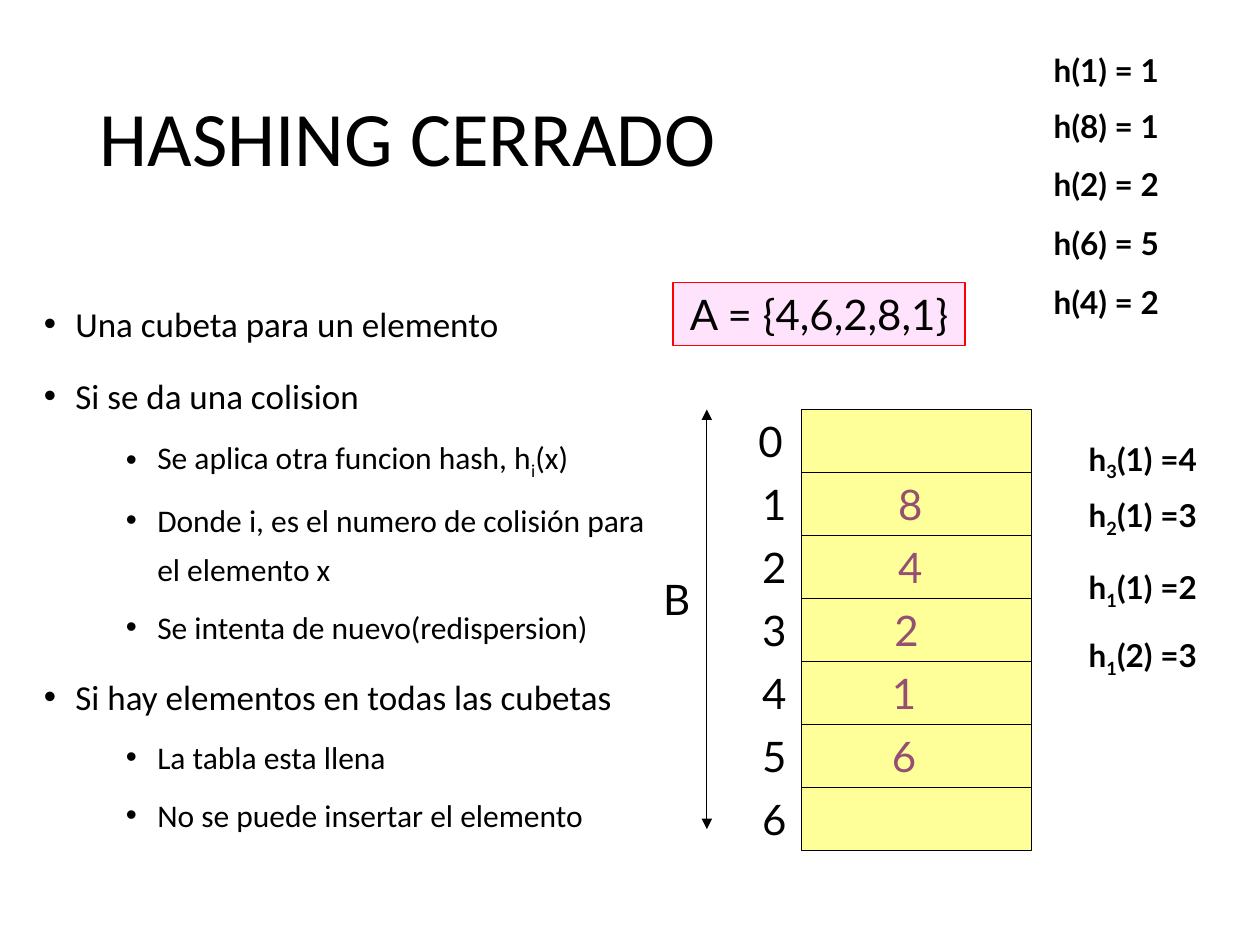
from lxml import etree
from pptx import Presentation
from pptx.dml.color import RGBColor
from pptx.enum.shapes import MSO_CONNECTOR, MSO_SHAPE
from pptx.enum.text import MSO_ANCHOR, MSO_AUTO_SIZE, PP_ALIGN
from pptx.oxml.ns import qn
from pptx.util import Inches, Pt

RECT = MSO_SHAPE.RECTANGLE
STRAIGHT = MSO_CONNECTOR.STRAIGHT
MIDDLE = MSO_ANCHOR.MIDDLE
NO_FIT = MSO_AUTO_SIZE.NONE
CENTER, LEFT = PP_ALIGN.CENTER, PP_ALIGN.LEFT

BLACK, WHITE, YELLOW = "000000", "FFFFFF", "FFFF99"
PINK, RED, PURPLE = "FFE3FD", "FF0000", "954F72"
ROW_H = 0.5

BULLETS = [
    (0, ["Una cubeta para un elemento"]),
    (0, ["Si se da una colision"]),
    (1, ["Se aplica otra funcion hash, h", "i", "(x)"]),
    (1, ["Donde i, es el numero de colisión para el elemento x"]),
    (1, ["Se intenta de nuevo(redispersion)"]),
    (0, ["Si hay elementos en todas las cubetas"]),
    (1, ["La tabla esta llena"]),
    (1, ["No se puede insertar el elemento"]),
]
STORED = {1: ("8", 0.67), 2: ("4", 0.67), 3: ("2", 0.64), 4: ("1", 0.62), 5: ("6", 0.62)}
HASHES = [("h(1) = 1", 0), ("h(8) = 1", 0.44), ("h(2) = 2", 0.9),
          ("h(6) = 5", 1.37), ("h(4) = 2", 1.84)]
REHASHES = [("3", "(1) =4", 0), ("2", "(1) =3", 0.45),
            ("1", "(1) =2", 1.02), ("1", "(2) =3", 1.56)]


def rgb(color):
    """Turn a hex string into a colour."""
    return RGBColor.from_string(color)


def add_runs(p, parts, size, font, color=BLACK, bold=False):
    """Add runs to a paragraph, lowering every second one as a subscript."""
    for i, text in enumerate(parts):
        r = p.add_run()
        r.text = text
        r.font.size, r.font.name, r.font.bold = Pt(size), font, bold
        r.font.color.rgb = rgb(color)
        if i % 2:
            r._r.get_or_add_rPr().set("baseline", "-25000")


def add_rect(slide, left, top, width, height, fill, line=None):
    """Draw a plain rectangle with an optional thin outline."""
    s = slide.shapes.add_shape(RECT, Inches(left), Inches(top), Inches(width), Inches(height))
    s.shadow.inherit = False
    s.fill.solid()
    s.fill.fore_color.rgb = rgb(fill)
    if line:
        s.line.color.rgb = rgb(line)
        s.line.width = Pt(0.75)
    else:
        s.line.fill.background()
    return s


def add_label(slide, left, top, width, height, parts, size=24, color=BLACK,
              bold=False, fill=None, line=None):
    """Place a centred one-line label, on a rectangle when a fill is given."""
    if fill:
        s = add_rect(slide, left, top, width, height, fill, line)
    else:
        s = slide.shapes.add_textbox(Inches(left), Inches(top), Inches(width), Inches(height))
    tf = s.text_frame
    tf.word_wrap = False
    tf.vertical_anchor = MSO_ANCHOR.TOP
    p = tf.paragraphs[0]
    p.alignment = CENTER
    add_runs(p, parts, size, "Lato", color, bold)


def add_title(slide, left, top, width, height):
    """Move and format the title placeholder."""
    s = slide.shapes.title
    s.left, s.top, s.width, s.height = (Inches(v) for v in (left, top, width, height))
    tf = s.text_frame
    tf.auto_size = NO_FIT
    tf.vertical_anchor = MIDDLE
    p = tf.paragraphs[0]
    p.alignment, p.line_spacing = LEFT, 0.9
    add_runs(p, ["HASHING CERRADO"], 44, "Calibri")


def add_bullets(slide, left, top, width, height):
    """Write the two-level bulleted list."""
    s = slide.shapes.add_textbox(Inches(left), Inches(top), Inches(width), Inches(height))
    tf = s.text_frame
    tf.word_wrap = True
    for i, (level, parts) in enumerate(BULLETS):
        p = tf.add_paragraph() if i else tf.paragraphs[0]
        p.level, p.line_spacing = level, 1.3
        p.space_before = Pt(5 if level else 10)
        pPr = p._p.get_or_add_pPr()
        pPr.set("marL", str(Inches(0.9 if level else 0.25)))
        pPr.set("indent", str(-Inches(0.25)))
        etree.SubElement(pPr, qn("a:buFont")).set("typeface", "Arial")
        etree.SubElement(pPr, qn("a:buChar")).set("char", "•")
        add_runs(p, parts, 18 if level else 20, "Calibri")


def add_size_arrow(slide, x, top, bottom):
    """Draw the double-headed arrow that spans the buckets."""
    c = slide.shapes.add_connector(STRAIGHT, Inches(x), Inches(top), Inches(x), Inches(bottom))
    c.line.color.rgb = rgb(BLACK)
    c.line.width = Pt(0.75)
    for end in ("a:headEnd", "a:tailEnd"):
        etree.SubElement(c.line._get_or_add_ln(), qn(end)).set("type", "triangle")
    etree.SubElement(c._element.spPr, qn("a:effectLst"))


def add_buckets(slide, left, top, width, rows):
    """Draw the hash table with its indices, stored values and size arrow."""
    for i in range(rows):
        y = top + i * ROW_H
        add_rect(slide, left, y, width, ROW_H, YELLOW, BLACK)
        add_label(slide, left - (0.41 if i else 0.44), y, 0.38, ROW_H, [str(i)])
        if i in STORED:
            value, offset = STORED[i]
            add_label(slide, left + offset, y, 0.38, ROW_H, [value], color=PURPLE)
    add_size_arrow(slide, left - 0.75, top, top + 3.33)
    add_label(slide, left - 1.2, top + 1.25, 0.42, ROW_H, ["B"])


def add_hashes(slide, left, top, width, height):
    """List the first hash value of each element."""
    for text, offset in HASHES:
        add_label(slide, left, top + offset, width, height, [text], 18, bold=True, fill=WHITE)


def add_rehashes(slide, left, top, width, height):
    """List the hash values computed after collisions."""
    for index, text, offset in REHASHES:
        add_label(slide, left, top + offset, width, height, ["h", index, text], 18, bold=True)


def main():
    """Build and save the slide."""
    prs = Presentation()
    prs.slide_width, prs.slide_height = Inches(10), Inches(7.5)
    slide = prs.slides.add_slide(prs.slide_layouts[5])
    add_title(slide, 0.69, 0.4, 8.63, 1.45)
    add_bullets(slide, 0.25, 2.25, 5.17, 4.5)
    add_buckets(slide, 6.36, 3.25, 1.83, 7)
    add_label(slide, 5.34, 2.24, 2.32, 0.5, ["A = {4,6,2,8,1}"], fill=PINK, line=RED)
    add_hashes(slide, 8.24, 0.36, 1.08, 0.4)
    add_rehashes(slide, 8.42, 3.44, 1.3, 0.44)
    prs.save("out.pptx")


if __name__ == "__main__":
    main()
